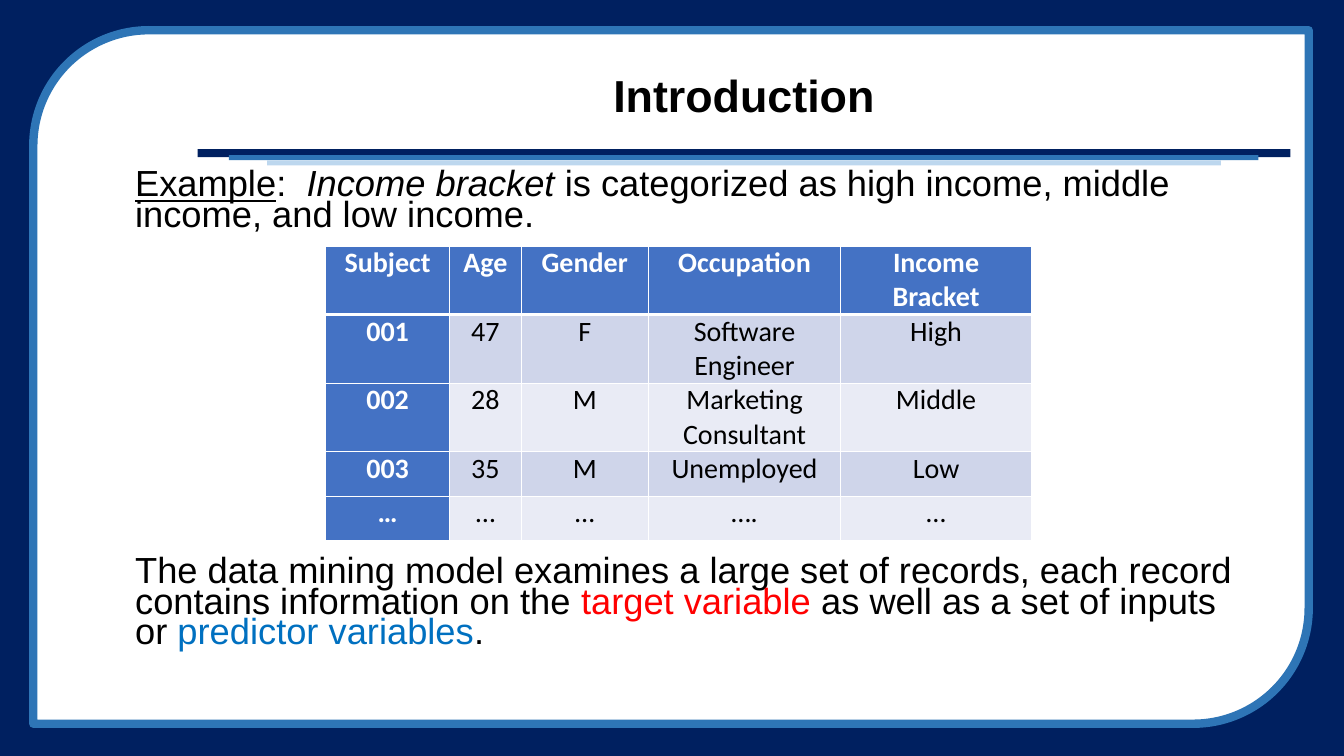
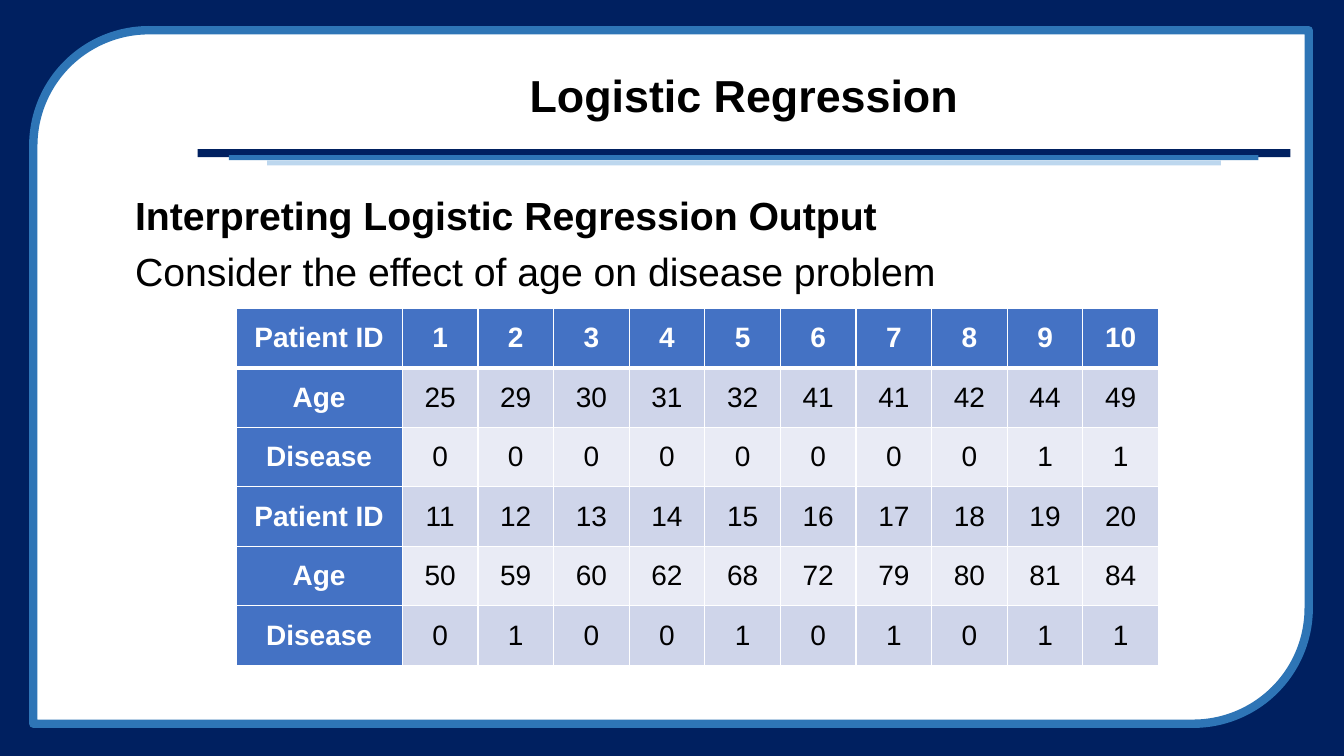
from lxml import etree
from pptx import Presentation
from pptx import util as u
from pptx.dml import color
from pptx.enum import shapes, text
from pptx.oxml import ns

EMU_PER_PX = 9144
NAVY, BLUE, PALE_BLUE = "002060", "2E75B6", "BDD7EE"
WHITE, BLACK, RED, SKY = "FFFFFF", "000000", "FF0000", "0070C0"
TABLE_HEAD, TABLE_BANDS = "4472C4", ("E9EBF5", "CFD5EA")
FONT = "Arial"
TITLE_BOX = (196, 49, 1084, 97)


def px(length):
    """Turn px into EMU."""
    return u.Emu(length * EMU_PER_PX)


def rgb(value):
    """Turn a hex string into a colour."""
    return color.RGBColor.from_string(value)


def place(shape, box):
    """Move a shape to a box of left, top, width and height."""
    shape.left, shape.top, shape.width, shape.height = map(px, box)


def add_run(paragraph, words, size, colour=BLACK, font=FONT, **style):
    """Add one formatted run; style takes bold, italic and underline."""
    run = paragraph.add_run()
    run.text = words
    run.font.name = font
    run.font.size = u.Pt(size)
    run.font.color.rgb = rgb(colour)
    for name in ("bold", "italic", "underline"):
        setattr(run.font, name, style.get(name, False))


def add_panel(slide, kind, box, fill, line=None):
    """Add a filled shape, outlined only if a line colour is given."""
    shape = slide.shapes.add_shape(kind, *map(px, box))
    shape.shadow.inherit = False
    shape.fill.solid()
    shape.fill.fore_color.rgb = rgb(fill)
    if line:
        shape.line.color.rgb = rgb(line)
        shape.line.width = u.Pt(6)
    else:
        shape.line.fill.background()
    return shape


def build_layout(layout, slide):
    """Give the layout its frame, title rules and title place."""
    rectangle = shapes.MSO_SHAPE.RECTANGLE
    left, top, width, height = TITLE_BOX
    rule_top = top + height + 2
    panels = [
        add_panel(slide, rectangle, (0, 0, 1334, 750), NAVY),
        add_panel(slide, shapes.MSO_SHAPE.ROUND_2_DIAG_RECTANGLE,
                  (33, 30, 1265, 688), WHITE, BLUE),
    ]
    for inset, drop, trim, thickness, fill in (
            (0, 0, 0, 8, NAVY), (31, 6, 63, 5, BLUE), (69, 11, 138, 5, PALE_BLUE)):
        box = (left + inset, rule_top + drop, width - trim, thickness)
        panels.append(add_panel(slide, rectangle, box, fill))
    for index, panel in enumerate(panels, start=2):
        layout.shapes.element.insert(index, panel.element)
    place(layout.placeholders[0], TITLE_BOX)


def fill_title(slide, words):
    """Write the slide title."""
    frame = slide.shapes.title.text_frame
    frame.vertical_anchor = text.MSO_ANCHOR.MIDDLE
    frame.auto_size = text.MSO_AUTO_SIZE.NONE
    paragraph = frame.paragraphs[0]
    paragraph.alignment = text.PP_ALIGN.CENTER
    paragraph.line_spacing = 0.9
    add_run(paragraph, words, 32, bold=True)


def fill_body(slide, box, paragraphs, size, line_spacing, gap):
    """Write unbulleted paragraphs of (words, style) runs, gap points apart."""
    body = slide.placeholders[1]
    place(body, box)
    frame = body.text_frame
    frame.word_wrap = True
    frame.auto_size = text.MSO_AUTO_SIZE.NONE
    for index, runs in enumerate(paragraphs):
        paragraph = frame.add_paragraph() if index else frame.paragraphs[0]
        properties = paragraph._p.get_or_add_pPr()
        properties.set("marL", "0")
        properties.set("indent", "0")
        etree.SubElement(properties, ns.qn("a:buNone"))
        paragraph.line_spacing = line_spacing
        paragraph.space_before = u.Pt(gap if index else 0)
        for words, style in runs:
            add_run(paragraph, words, size, **style)


def set_borders(cell, widths):
    """Draw white cell borders from a map of side to points."""
    properties = cell._tc.get_or_add_tcPr()
    for side, points in widths.items():
        line = etree.SubElement(properties, ns.qn(f"a:ln{side}"), w=str(u.Pt(points)))
        fill = etree.SubElement(line, ns.qn("a:solidFill"))
        etree.SubElement(fill, ns.qn("a:srgbClr"), val=WHITE)


def add_grid(slide, left, top, widths, row_height, rows, font, anchor):
    """Add a banded table with a header row and a header column."""
    box = (left, top, sum(widths), row_height * len(rows))
    table = slide.shapes.add_table(len(rows), len(widths), *map(px, box)).table
    for column, width in zip(table.columns, widths):
        column.width = px(width)
    for row_index, values in enumerate(rows):
        table.rows[row_index].height = px(row_height)
        for column_index, value in enumerate(values):
            cell = table.cell(row_index, column_index)
            header = row_index == 0 or column_index == 0
            set_borders(cell, {"L": 1, "R": 1, "T": 3 if row_index == 1 else 1,
                               "B": 3 if row_index == 0 else 1})
            cell.fill.solid()
            cell.fill.fore_color.rgb = rgb(TABLE_HEAD if header else TABLE_BANDS[row_index % 2])
            cell.margin_left = cell.margin_right = px(7)
            cell.margin_top = cell.margin_bottom = 0
            cell.vertical_anchor = anchor
            paragraph = cell.text_frame.paragraphs[0]
            paragraph.alignment = text.PP_ALIGN.CENTER
            add_run(paragraph, value, 20, WHITE if header else BLACK, font, bold=header)


def build_introduction(slide):
    """Build the income bracket example."""
    fill_title(slide, "Introduction")
    paragraphs = [
        [("Example", {"underline": True}),
         (":  ", {}),
         ("Income bracket", {"italic": True}),
         (" is categorized as high income, middle income, and low income.", {})],
        [("The data mining model examines a large set of records, each record "
          "contains information on the ", {}),
         ("target variable ", {"colour": RED}),
         ("as well as a set of inputs or ", {}),
         ("predictor variables", {"colour": SKY}),
         (".", {})],
    ]
    fill_body(slide, (124, 166, 1134, 495), paragraphs, 25.9, 0.7, 233)
    rows = [
        ("Subject", "Age", "Gender", "Occupation", "Income Bracket"),
        ("001", "47", "F", "Software Engineer", "High"),
        ("002", "28", "M", "Marketing Consultant", "Middle"),
        ("003", "35", "M", "Unemployed", "Low"),
        ("…", "…", "…", "….", "…"),
    ]
    add_grid(slide, 323, 244, (123, 71, 126, 191, 189), 44, rows,
             "Calibri", text.MSO_ANCHOR.TOP)


def build_regression(slide):
    """Build the age and disease example."""
    fill_title(slide, "Logistic Regression")
    paragraphs = [
        [("Interpreting Logistic Regression Output", {"bold": True})],
        [("Consider the effect of age on disease problem", {})],
    ]
    fill_body(slide, (124, 190, 1134, 471), paragraphs, 28, 0.9, 10)
    records = (
        ("Patient ID", range(1, 11)),
        ("Age", (25, 29, 30, 31, 32, 41, 41, 42, 44, 49)),
        ("Disease", (0, 0, 0, 0, 0, 0, 0, 0, 1, 1)),
        ("Patient ID", range(11, 21)),
        ("Age", (50, 59, 60, 62, 68, 72, 79, 80, 81, 84)),
        ("Disease", (0, 1, 0, 0, 1, 0, 1, 0, 1, 1)),
    )
    rows = [(label, *map(str, values)) for label, values in records]
    add_grid(slide, 234, 306, [165] + [75] * 10, 59, rows,
             FONT, text.MSO_ANCHOR.MIDDLE)


def main():
    """Build and save the presentation."""
    presentation = Presentation()
    presentation.slide_width = u.Inches(13.33)
    presentation.slide_height = u.Inches(7.5)
    layout = presentation.slide_layouts[1]
    for index, build in enumerate((build_introduction, build_regression)):
        slide = presentation.slides.add_slide(layout)
        if index == 0:
            build_layout(layout, slide)
        build(slide)
    presentation.save("out.pptx")


if __name__ == "__main__":
    main()
